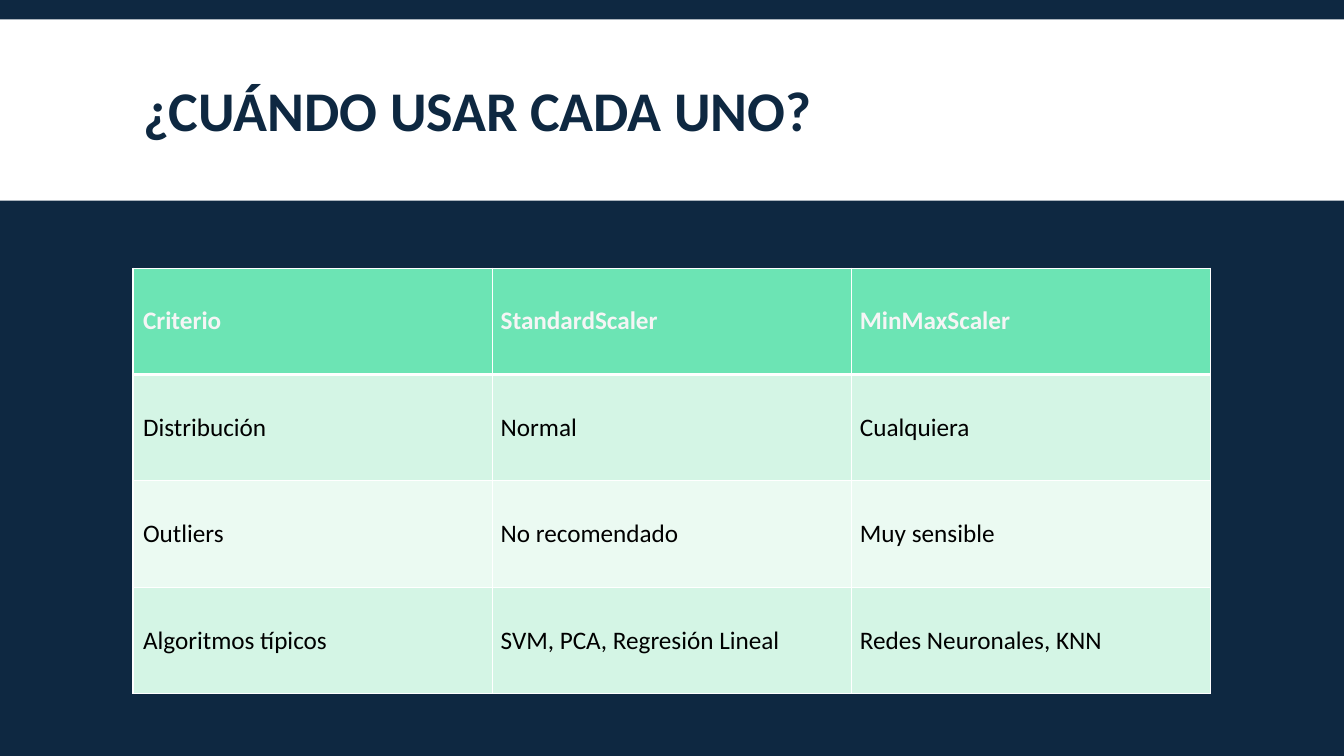
from lxml.etree import SubElement
from pptx import Presentation
from pptx.dml.color import RGBColor
from pptx.enum.shapes import MSO_SHAPE
from pptx.enum.text import MSO_ANCHOR, PP_ALIGN
from pptx.oxml.ns import qn
from pptx.util import Pt

NAVY = RGBColor(0x0E, 0x28, 0x41)
WHITE = RGBColor(0xFF, 0xFF, 0xFF)
BLACK = RGBColor(0x00, 0x00, 0x00)
PALE = RGBColor(0xF5, 0xF5, 0xF5)
GREEN = RGBColor(0x6C, 0xE4, 0xB4)
MINT = RGBColor(0xD4, 0xF5, 0xE5)
LIGHT_MINT = RGBColor(0xEB, 0xFA, 0xF2)
FONT = "Calibri"
TITLE = "¿CUÁNDO USAR CADA UNO?"
ROWS = [
    ("Criterio", "StandardScaler", "MinMaxScaler"),
    ("Distribución", "Normal", "Cualquiera"),
    ("Outliers", "No recomendado", "Muy sensible"),
    ("Algoritmos típicos", "SVM, PCA, Regresión Lineal", "Redes Neuronales, KNN"),
]


def format_runs(p, size, color, bold):
    """Apply the slide font to every run of a paragraph."""
    for r in p.runs:
        r.font.name = FONT
        r.font.size = Pt(size)
        r.font.bold = bold
        r.font.color.rgb = color


def add_title(s, x, y, w, h):
    """Fill a white band and set the title inside it, inset at both sides."""
    band = s.shapes.add_shape(MSO_SHAPE.RECTANGLE, Pt(x), Pt(y), Pt(w), Pt(h))
    band.shadow.inherit = False
    band.fill.solid()
    band.fill.fore_color.rgb = WHITE
    band.line.fill.background()
    title = s.shapes.title
    title.element.addprevious(band.element)
    title.left, title.top = Pt(x + 95), Pt(y + 8.5)
    title.width, title.height = Pt(w - 190), Pt(h - 11)
    tf = title.text_frame
    tf.text = TITLE
    tf.word_wrap = True
    tf.vertical_anchor = MSO_ANCHOR.MIDDLE
    p = tf.paragraphs[0]
    p.alignment = PP_ALIGN.LEFT
    p.line_spacing = 0.85
    format_runs(p, 40, NAVY, True)


def set_borders(cell, bottom):
    """Draw white borders around a cell, with its own bottom width."""
    tcPr = cell._tc.get_or_add_tcPr()
    sides = {"L": 1, "R": 1, "T": 1, "B": bottom}
    for side, width in sides.items():
        ln = SubElement(tcPr, qn(f"a:ln{side}"), w=str(Pt(width)))
        fill = SubElement(ln, qn("a:solidFill"))
        SubElement(fill, qn("a:srgbClr"), val=str(WHITE))


def add_criteria_table(s, x, y, w, h):
    """Place the comparison table with equal columns and rows."""
    n_rows, n_cols = len(ROWS), len(ROWS[0])
    table = s.shapes.add_table(n_rows, n_cols, Pt(x), Pt(y), Pt(w), Pt(h)).table
    for col in table.columns:
        col.width = Pt(w / n_cols)
    for i, texts in enumerate(ROWS):
        table.rows[i].height = Pt(h / n_rows)
        header = i == 0
        for j, text in enumerate(texts):
            cell = table.cell(i, j)
            set_borders(cell, 3 if header else 1)
            cell.fill.solid()
            cell.fill.fore_color.rgb = GREEN if header else MINT if i % 2 else LIGHT_MINT
            cell.vertical_anchor = MSO_ANCHOR.MIDDLE
            cell.margin_left = Pt(7.2 if j == 0 else 6)
            cell.margin_right = cell.margin_top = cell.margin_bottom = Pt(6)
            cell.text_frame.text = text
            format_runs(cell.text_frame.paragraphs[0], 18, PALE if header else BLACK, header)
            if i == 1:
                cell._tc.tcPr.find(qn("a:lnT")).set("w", str(Pt(3)))


def main():
    """Build the slide and save it."""
    prs = Presentation()
    prs.slide_width, prs.slide_height = Pt(960), Pt(540)
    s = prs.slides.add_slide(prs.slide_layouts[5])
    s.background.fill.solid()
    s.background.fill.fore_color.rgb = NAVY
    add_title(s, 0, 13.8, 960, 129.6)
    add_criteria_table(s, 95, 191.5, 770, 304)
    prs.save("out.pptx")


if __name__ == "__main__":
    main()
